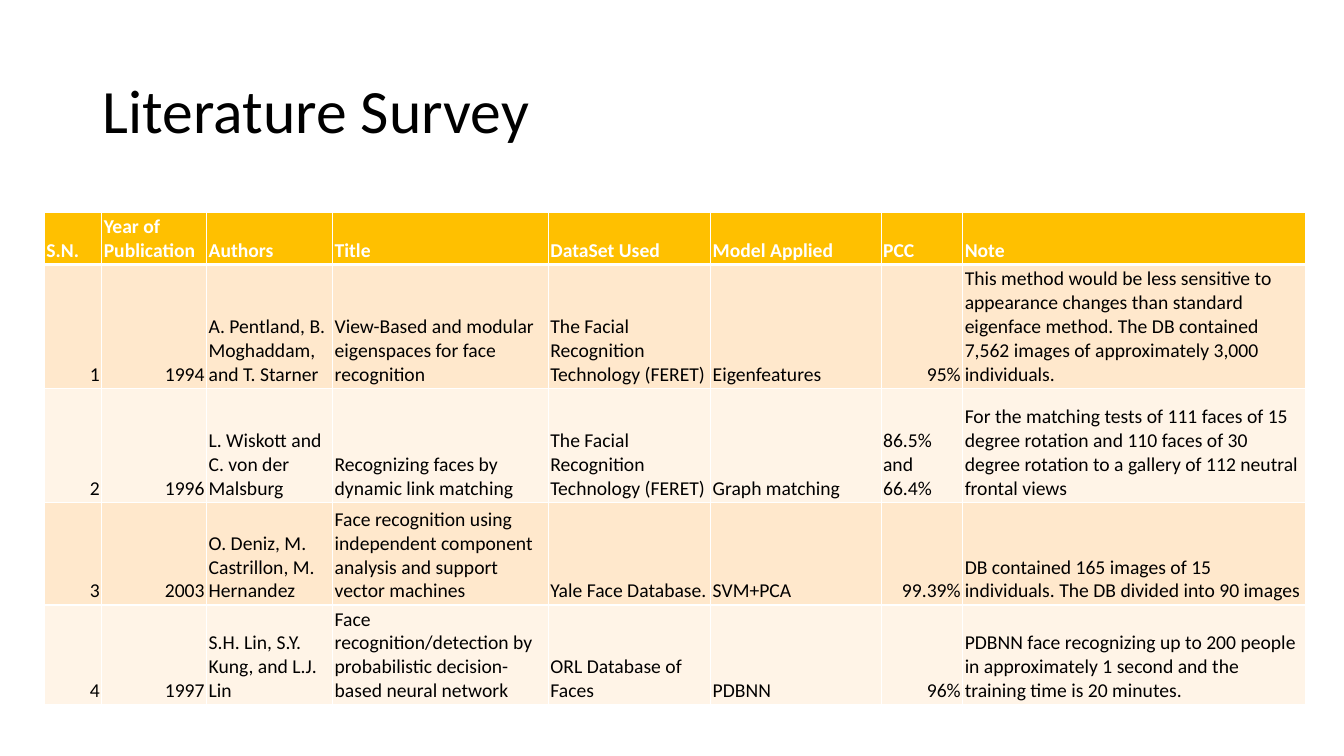
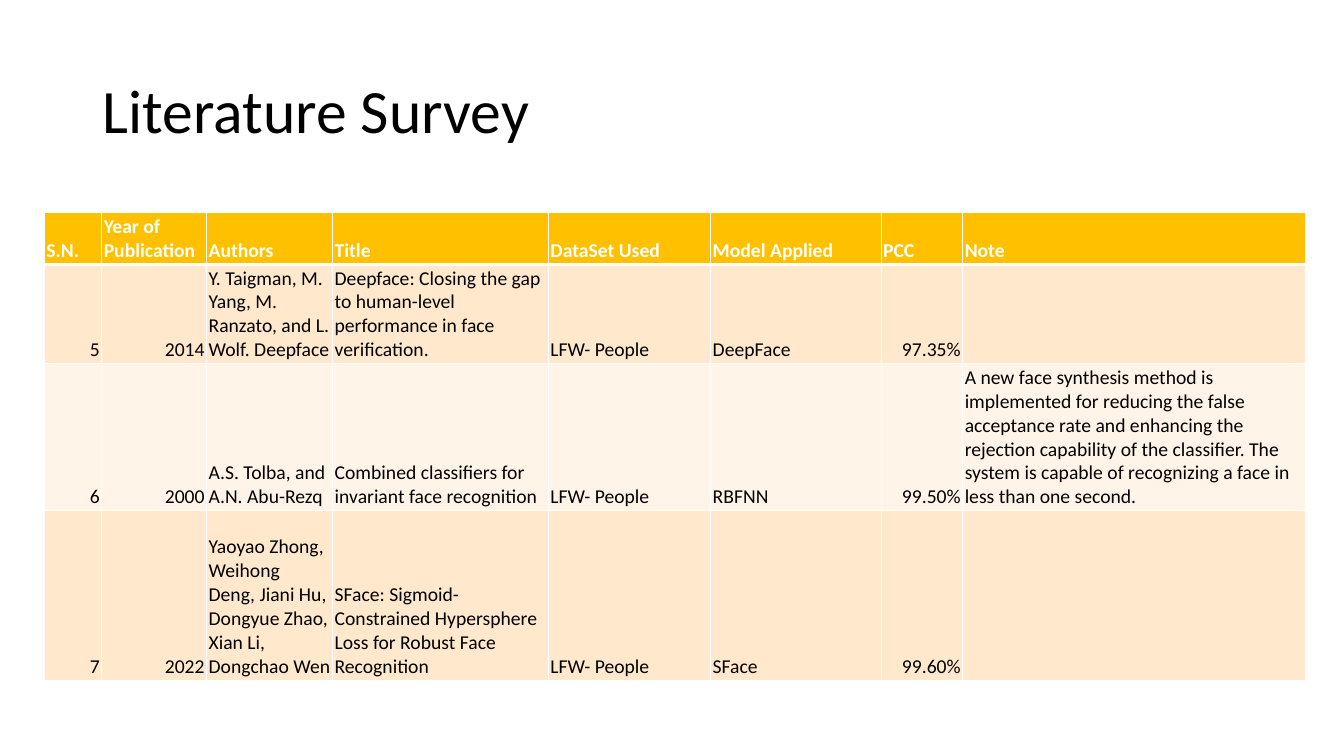
from dataclasses import dataclass

from lxml.etree import SubElement
from pptx import Presentation
from pptx.dml.color import RGBColor as Rgb
from pptx.enum.text import MSO_ANCHOR as Anchor, MSO_AUTO_SIZE as AutoSize, PP_ALIGN as Align
from pptx.oxml.ns import qn
from pptx.util import Emu, Pt

EMU_PER_PX = 9144
TITLE_ONLY = 5


@dataclass(frozen=True)
class Theme:
    font: str = "Calibri"
    title_size: int = 44
    table_size: int = 14
    text: str = "000000"
    header_text: str = "FFFFFF"
    header_fill: str = "FFC000"
    band_fills: tuple = ("FFE8CC", "FFF4E7")
    border: str = "FFFFFF"
    thin: int = 1
    thick: int = 3


THEME = Theme()
TITLE = "Literature Survey"
TITLE_BOX = {"left": 92, "top": 40, "width": 1150, "height": 145}
TABLE_LEFT, TABLE_TOP = 44, 211
COLUMN_WIDTHS = (57, 104, 125, 214, 161, 169, 81, 340)
CELL_MARGIN = 2
HEADER = ("S.N.", "Year of Publication", "Authors", "Title",
          "DataSet Used", "Model Applied", "PCC", "Note")
FERET = "The Facial Recognition Technology (FERET)"
LFW = "LFW- People"

SURVEYS = (
    ((50, 123, 113, 102, 99), (
        ("1", "1994", "A. Pentland, B. Moghaddam, and T. Starner",
         "View-Based and modular eigenspaces for face recognition",
         FERET, "Eigenfeatures", "95%",
         "This method would be less sensitive to appearance changes than standard "
         "eigenface method. The DB contained 7,562 images of approximately 3,000 individuals."),
        ("2", "1996", "L. Wiskott and C. von der Malsburg",
         "Recognizing faces by dynamic link matching",
         FERET, "Graph matching", "86.5% and 66.4%",
         "For the matching tests of 111 faces of 15 degree rotation and 110 faces of "
         "30 degree rotation to a gallery of 112 neutral frontal views"),
        ("3", "2003", "O. Deniz, M. Castrillon, M. Hernandez",
         "Face recognition using independent component analysis and support vector machines",
         "Yale Face Database.", "SVM+PCA", "99.39%",
         "DB contained 165 images of 15 individuals. The DB divided into 90 images"),
        ("4", "1997", "S.H. Lin, S.Y. Kung, and L.J. Lin",
         "Face recognition/detection by probabilistic decision-based neural network",
         "ORL Database of Faces", "PDBNN", "96%",
         "PDBNN face recognizing up to 200 people in approximately 1 second and "
         "the training time is 20 minutes."),
    )),
    ((50, 98, 145, 168), (
        ("5", "2014", "Y. Taigman, M. Yang, M. Ranzato, and L. Wolf. Deepface",
         "Deepface: Closing the gap to human-level performance in face verification.",
         LFW, "DeepFace", "97.35%", ""),
        ("6", "2000", "A.S. Tolba, and A.N. Abu-Rezq",
         "Combined classifiers for invariant face recognition",
         LFW, "RBFNN", "99.50%",
         "A new face synthesis method is implemented for reducing the false acceptance "
         "rate and enhancing the rejection capability of the classifier. The system is "
         "capable of recognizing a face in less than one second."),
        ("7", "2022", "Yaoyao Zhong, Weihong Deng, Jiani Hu, Dongyue Zhao, Xian Li, Dongchao Wen",
         "SFace: Sigmoid-Constrained Hypersphere Loss for Robust Face Recognition",
         LFW, "SFace", "99.60%", ""),
    )),
)


def px(length):
    return Emu(length * EMU_PER_PX)


def set_attributes(target, values):
    for name, value in values.items():
        setattr(target, name, value)


def write_text(paragraph, text, size, color, bold=False):
    run = paragraph.add_run()
    run.text = text
    set_attributes(run.font, {"name": THEME.font, "size": Pt(size), "bold": bold})
    run.font.color.rgb = Rgb.from_string(color)


def add_title(slide, text):
    title = slide.shapes.title
    set_attributes(title, {name: px(value) for name, value in TITLE_BOX.items()})
    set_attributes(title.text_frame, {"vertical_anchor": Anchor.MIDDLE, "word_wrap": True,
                                      "auto_size": AutoSize.NONE})
    paragraph = title.text_frame.paragraphs[0]
    set_attributes(paragraph, {"alignment": Align.LEFT, "line_spacing": 0.9})
    write_text(paragraph, text, THEME.title_size, THEME.text)


def set_borders(cell, top, bottom):
    properties = cell._tc.get_or_add_tcPr()
    widths = {"a:lnL": THEME.thin, "a:lnR": THEME.thin, "a:lnT": top, "a:lnB": bottom}
    for position, (tag, width) in enumerate(widths.items()):
        line = SubElement(properties, qn(tag), w=str(Pt(width)))
        fill = SubElement(line, qn("a:solidFill"))
        SubElement(fill, qn("a:srgbClr"), val=THEME.border)
        properties.insert(position, line)


def is_number(text):
    return text.rstrip("%").replace(".", "").isdigit()


def format_cell(cell, text, row_index):
    is_header = row_index == 0
    fill = THEME.header_fill if is_header else THEME.band_fills[(row_index - 1) % 2]
    margins = {f"margin_{side}": px(CELL_MARGIN) for side in ("left", "top", "right", "bottom")}
    set_attributes(cell, {"vertical_anchor": Anchor.BOTTOM, **margins})
    cell.fill.solid()
    cell.fill.fore_color.rgb = Rgb.from_string(fill)
    set_borders(cell,
                top=THEME.thick if row_index == 1 else THEME.thin,
                bottom=THEME.thick if is_header else THEME.thin)
    if text:
        paragraph = cell.text_frame.paragraphs[0]
        paragraph.alignment = Align.RIGHT if is_number(text) else Align.LEFT
        color = THEME.header_text if is_header else THEME.text
        write_text(paragraph, text, THEME.table_size, color, bold=is_header)


def add_survey_table(slide, row_heights, entries):
    frame = slide.shapes.add_table(
        len(row_heights), len(COLUMN_WIDTHS), px(TABLE_LEFT), px(TABLE_TOP),
        px(sum(COLUMN_WIDTHS)), px(sum(row_heights)))
    table = frame.table
    for column, width in zip(table.columns, COLUMN_WIDTHS):
        column.width = px(width)
    for row_index, (row, height, texts) in enumerate(
            zip(table.rows, row_heights, (HEADER, *entries))):
        row.height = px(height)
        for cell, text in zip(row.cells, texts):
            format_cell(cell, text, row_index)


def main():
    presentation = Presentation()
    set_attributes(presentation, {"slide_width": px(1333), "slide_height": px(750)})
    for row_heights, entries in SURVEYS:
        slide = presentation.slides.add_slide(presentation.slide_layouts[TITLE_ONLY])
        add_title(slide, TITLE)
        add_survey_table(slide, row_heights, entries)
    presentation.save("out.pptx")


if __name__ == "__main__":
    main()
